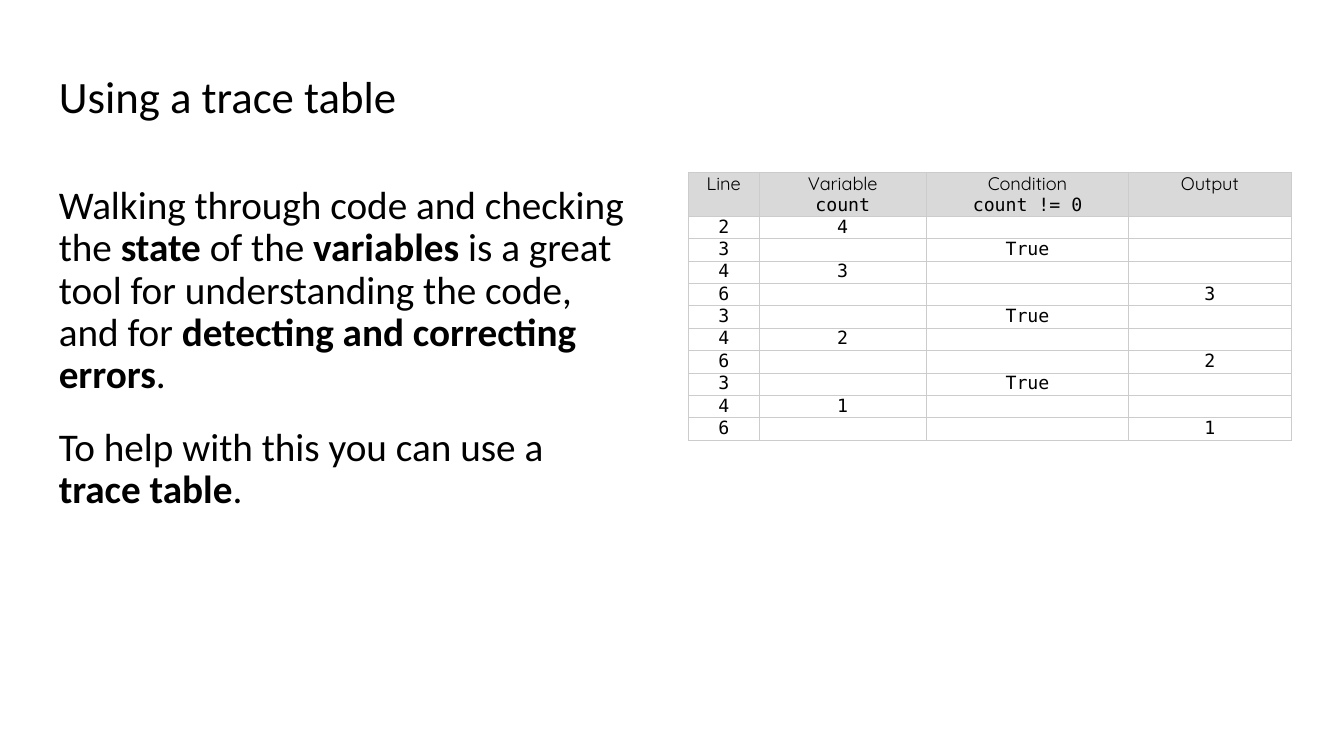
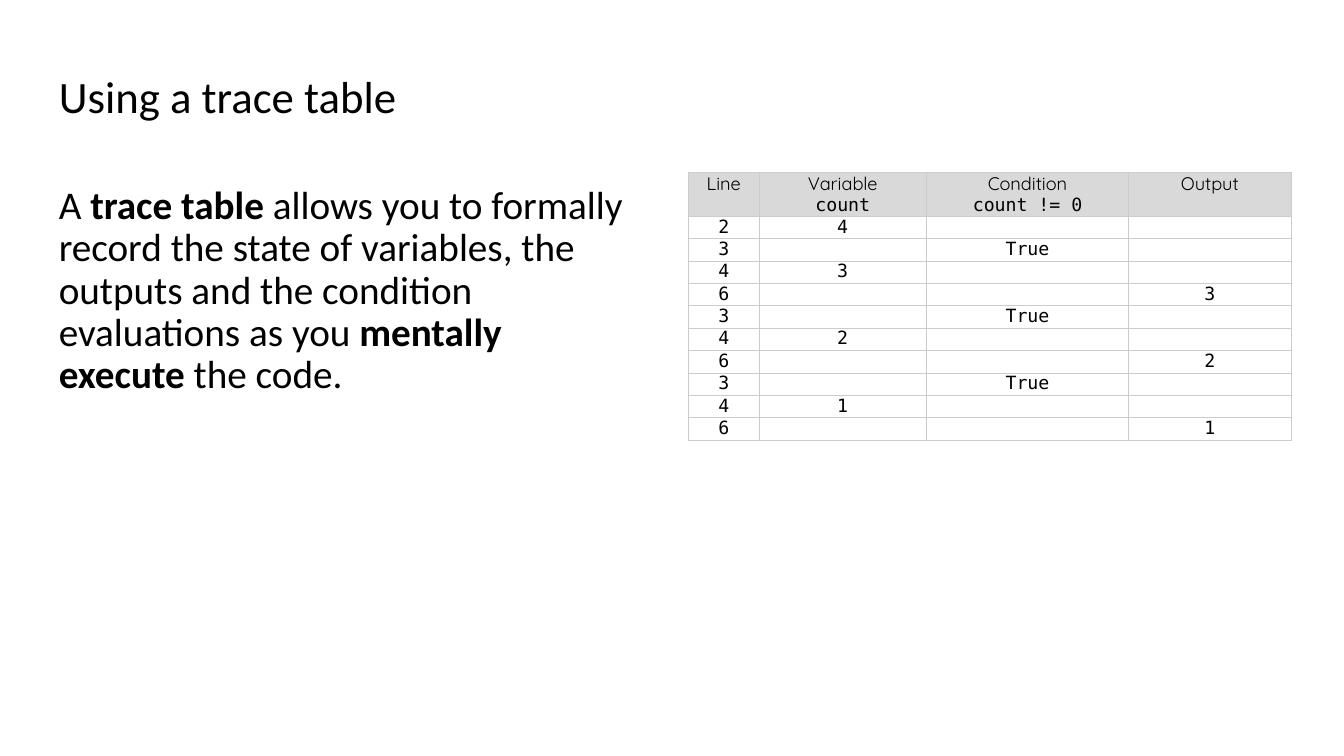
from dataclasses import dataclass

import lxml.etree
import pptx
import pptx.dml.color
import pptx.enum.text
import pptx.oxml.ns
import pptx.util

Pt = pptx.util.Pt
RGBColor = pptx.dml.color.RGBColor
PP_ALIGN = pptx.enum.text.PP_ALIGN
MSO_ANCHOR = pptx.enum.text.MSO_ANCHOR
qn = pptx.oxml.ns.qn


@dataclass(frozen=True)
class Theme:
    text: str = "000000"
    header_fill: str = "D9D9D9"
    border: str = "CCCCCC"
    text_font: str = "Calibri"
    header_font: str = "Quicksand"
    code_font: str = "DejaVu Sans Mono"
    title_size: float = 32
    body_size: float = 28
    table_size: float = 13
    line_spacing: float = 0.9
    paragraph_gap: float = 21.3
    inset: float = 9.6
    border_width: float = 0.75


THEME = Theme()

SLIDE_SIZE = (960, 540)
LEFT, TITLE_TOP, TITLE_HEIGHT = 32.4, 33.6, 73.6
CONTENT_TOP, BODY_WIDTH, BODY_HEIGHT = 123, 430, 384.5
TABLE_LEFT = 491.7
COLUMN_WIDTHS = (50.5, 119.5, 144.5, 116)
HEADER_HEIGHT, ROW_HEIGHT = 31.5, 16

# Each header is a label and, where it has one, the code it refers to.
HEADERS = (("Line",), ("Variable", "count"), ("Condition", "count != 0"), ("Output",))
TRACE = [("2", "4", "", "")]
for before, after in (("4", "3"), ("3", "2"), ("2", "1")):
    TRACE += [("3", "", "True", ""), ("4", after, "", ""), ("6", "", "", after)]

TITLE = "Using a trace table"

# Title width and body paragraphs; every second piece of a paragraph is bold.
SLIDES = (
    (359.3, (
        ("Walking through code and checking the ", "state ", "of the ", "variables ",
         "is a great tool for understanding the code, and for ",
         "detecting and correcting errors", "."),
        ("To help with this you can use a ", "trace table", "."),
    )),
    (895, (
        ("A ", "trace table",
         " allows you to formally record the state of variables, the outputs "
         "and the condition evaluations as you ",
         "mentally execute", " the code."),
    )),
)


def set_font(font, name, size):
    font.name = name
    font.size = Pt(size)
    font.color.rgb = RGBColor.from_string(THEME.text)


def set_frame(frame, anchor, inset):
    frame.word_wrap = True
    frame.auto_size = pptx.enum.text.MSO_AUTO_SIZE.NONE
    frame.vertical_anchor = anchor
    frame.margin_left = frame.margin_right = Pt(inset)
    frame.margin_top = frame.margin_bottom = Pt(inset)


def set_title(slide, text, width):
    title = slide.shapes.title
    title.left, title.top = Pt(LEFT), Pt(TITLE_TOP)
    title.width, title.height = Pt(width), Pt(TITLE_HEIGHT)
    set_frame(title.text_frame, MSO_ANCHOR.MIDDLE, THEME.inset)
    title.text_frame.text = text
    paragraph = title.text_frame.paragraphs[0]
    paragraph.alignment = PP_ALIGN.LEFT
    paragraph.line_spacing = THEME.line_spacing
    set_font(paragraph.font, THEME.text_font, THEME.title_size)


def add_body(slide, paragraphs):
    box = slide.shapes.add_textbox(Pt(LEFT), Pt(CONTENT_TOP), Pt(BODY_WIDTH), Pt(BODY_HEIGHT))
    frame = box.text_frame
    set_frame(frame, MSO_ANCHOR.TOP, THEME.inset)
    for index, pieces in enumerate(paragraphs):
        paragraph = frame.add_paragraph() if index else frame.paragraphs[0]
        paragraph.line_spacing = THEME.line_spacing
        paragraph.space_before = Pt(THEME.paragraph_gap if index else 0)
        set_font(paragraph.font, THEME.text_font, THEME.body_size)
        for position, piece in enumerate(pieces):
            run = paragraph.add_run()
            run.text = piece
            run.font.bold = position % 2 == 1


def set_borders(cell):
    properties = cell._tc.get_or_add_tcPr()
    for position, side in enumerate(("a:lnL", "a:lnR", "a:lnT", "a:lnB")):
        line = lxml.etree.Element(qn(side), w=str(Pt(THEME.border_width)))
        fill = lxml.etree.SubElement(line, qn("a:solidFill"))
        lxml.etree.SubElement(fill, qn("a:srgbClr"), val=THEME.border)
        properties.insert(position, line)


def fill_cell(cell, lines, fonts, fill=None):
    """Write one centred paragraph per line, each in its own font."""
    cell.margin_left = cell.margin_right = cell.margin_top = cell.margin_bottom = 0
    cell.text = "\n".join(lines)
    for paragraph, font in zip(cell.text_frame.paragraphs, fonts):
        paragraph.alignment = PP_ALIGN.CENTER
        set_font(paragraph.font, font, THEME.table_size)
        # The end mark sets the line height of an empty cell.
        lxml.etree.SubElement(paragraph._p, qn("a:endParaRPr"), sz=str(int(THEME.table_size * 100)))
    if fill:
        cell.fill.solid()
        cell.fill.fore_color.rgb = RGBColor.from_string(fill)
    else:
        cell.fill.background()
    set_borders(cell)


def add_trace_table(slide):
    height = HEADER_HEIGHT + ROW_HEIGHT * len(TRACE)
    table = slide.shapes.add_table(
        len(TRACE) + 1, len(HEADERS),
        Pt(TABLE_LEFT), Pt(CONTENT_TOP), Pt(sum(COLUMN_WIDTHS)), Pt(height)).table
    table.first_row = table.horz_banding = False
    for column, width in zip(table.columns, COLUMN_WIDTHS):
        column.width = Pt(width)
    for index, row in enumerate(table.rows):
        row.height = Pt(ROW_HEIGHT if index else HEADER_HEIGHT)
    for column, lines in enumerate(HEADERS):
        fill_cell(table.cell(0, column), lines,
                  (THEME.header_font, THEME.code_font), THEME.header_fill)
    for row, values in enumerate(TRACE, start=1):
        for column, value in enumerate(values):
            fill_cell(table.cell(row, column), (value,), (THEME.code_font,))


def main():
    presentation = pptx.Presentation()
    presentation.slide_width, presentation.slide_height = map(Pt, SLIDE_SIZE)
    title_only = presentation.slide_layouts[5]
    for title_width, paragraphs in SLIDES:
        slide = presentation.slides.add_slide(title_only)
        set_title(slide, TITLE, title_width)
        add_body(slide, paragraphs)
        add_trace_table(slide)
    presentation.save("out.pptx")


if __name__ == "__main__":
    main()
